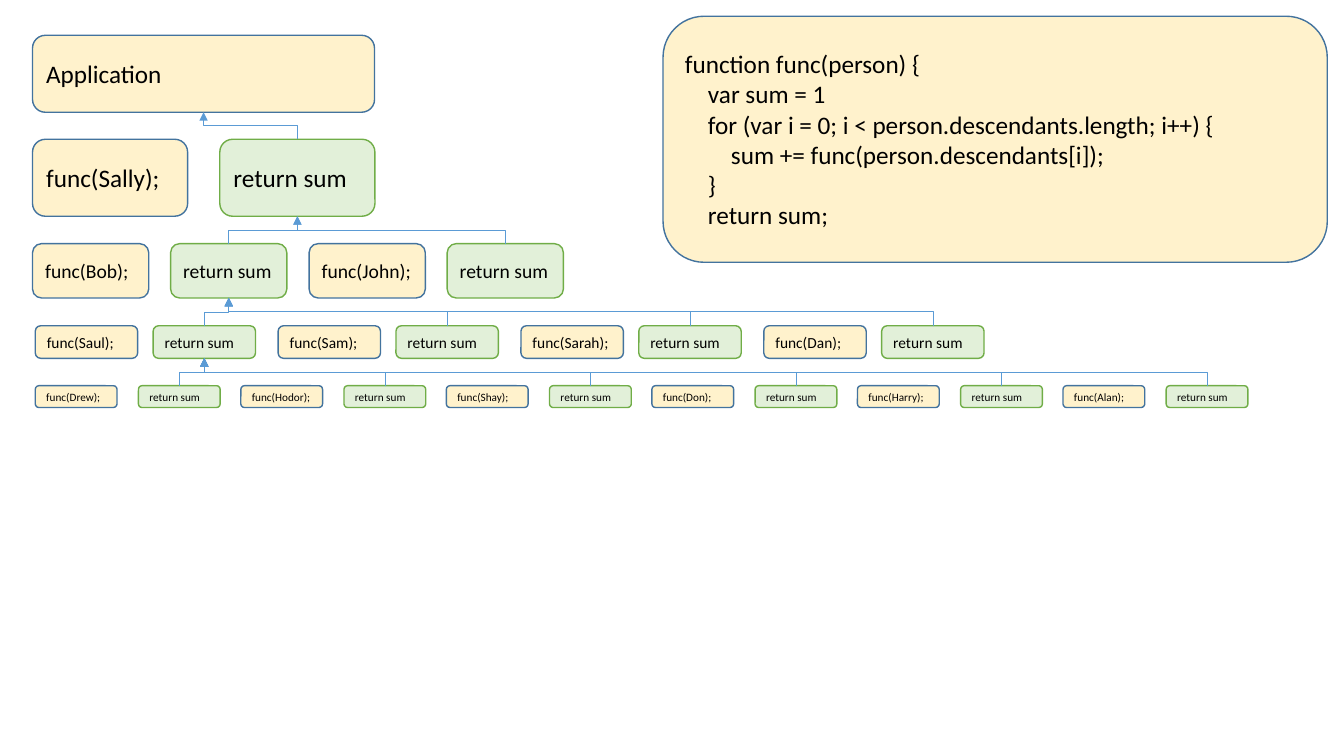
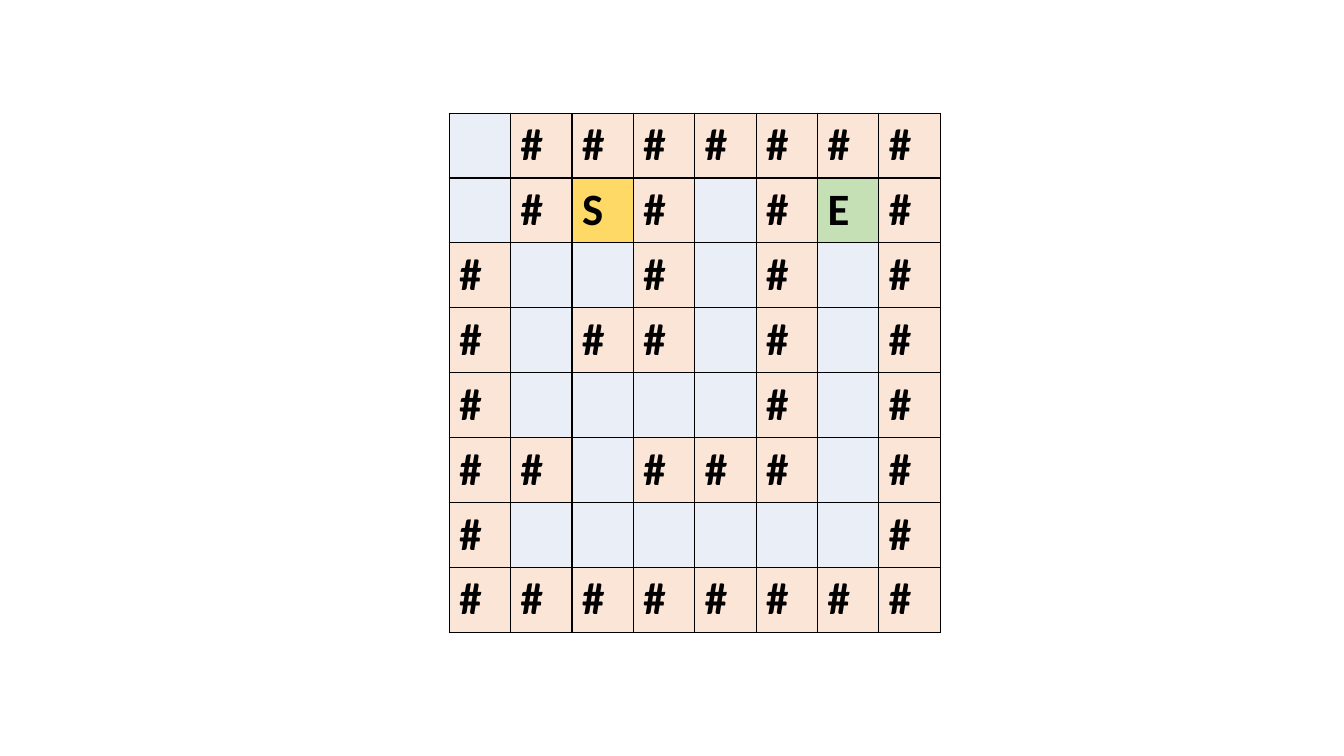
from dataclasses import dataclass

from lxml import etree
from pptx import Presentation
from pptx import util as u
from pptx.dml import color
from pptx.enum import shapes, text
from pptx.oxml import ns

COLORS = {
    "ink": "000000",
    "call": "FFF2CC",
    "call_line": "43739E",
    "result": "E2F0D9",
    "result_line": "70AD47",
    "arrow": "5B9BD5",
    "wall": "FBE5D6",
    "path": "EAEFF7",
    "start": "FFD966",
    "end": "C5E0B4",
}
FONT = "Calibri"
INDENT = 0.58


@dataclass
class Box:
    left: float
    top: float
    width: float
    height: float
    lines: list[str]
    size: int = 18
    kind: str = "call"


@dataclass
class CallRow:
    names: list[str]
    left: float
    top: float
    width: float
    height: float
    size: int
    result_offset: float
    pair_pitch: float = 0


CODE = Box(16.71, 0.41, 16.74, 6.2, [
    "function func(person) {",
    "\tvar sum = 1",
    "\tfor (var i = 0; i < person.descendants.length; i++) {",
    "\t\tsum += func(person.descendants[i]);",
    "\t}",
    "\treturn sum;",
])
APPLICATION = Box(0.82, 0.89, 8.62, 1.94, ["Application"])
CALL_ROWS = [
    CallRow(["Sally"], 0.82, 3.51, 3.91, 1.94, 18, 4.72),
    CallRow(["Bob", "John"], 0.82, 6.14, 2.93, 1.37, 14, 3.48, 6.97),
    CallRow(["Saul", "Sam", "Sarah", "Dan"], 0.89, 8.21, 2.58, 0.82, 11, 2.97, 6.12),
    CallRow(["Drew", "Hodor", "Shay", "Don", "Harry", "Alan"],
            0.89, 9.72, 2.06, 0.55, 8, 2.6, 5.18),
]
MAZE = [
    " #######",
    " #S# #E#",
    "#  # # #",
    "# ## # #",
    "#    # #",
    "## ### #",
    "#      #",
    "########",
]
CELL_KINDS = {"#": "wall", " ": "path", "S": "start", "E": "end"}


def rgb(name: str) -> color.RGBColor:
    return color.RGBColor.from_string(COLORS[name])


def set_font(r, size: int, bold: bool = False) -> None:
    for key, value in {"name": FONT, "size": u.Pt(size), "bold": bold}.items():
        setattr(r.font, key, value)
    r.font.color.rgb = rgb("ink")


def draw_box(s, box: Box):
    sp = s.shapes.add_shape(
        shapes.MSO_SHAPE.ROUNDED_RECTANGLE,
        *(u.Cm(v) for v in (box.left, box.top, box.width, box.height)))
    sp.shadow.inherit = False
    sp.fill.solid()
    sp.fill.fore_color.rgb = rgb(box.kind)
    sp.line.color.rgb = rgb(f"{box.kind}_line")
    sp.line.width = u.Pt(1)
    tf = sp.text_frame
    for key, value in {"word_wrap": True, "vertical_anchor": text.MSO_ANCHOR.MIDDLE}.items():
        setattr(tf, key, value)
    for i, line in enumerate(box.lines):
        p = tf.add_paragraph() if i else tf.paragraphs[0]
        p.alignment = text.PP_ALIGN.JUSTIFY
        depth = line.count("\t")
        if depth:
            p._p.get_or_add_pPr().set("marL", str(u.Cm(depth * INDENT)))
        r = p.add_run()
        r.text = line.strip()
        set_font(r, box.size)
    return sp


def draw_return_arrow(s, child, parent) -> None:
    start_x, start_y = child.left + child.width // 2, child.top
    end_x, end_y = parent.left + parent.width // 2, parent.top + parent.height
    mid_x, mid_y = (start_x + end_x) // 2, (start_y + end_y) // 2
    half_rise, half_run = (start_y - end_y) // 2, (end_x - start_x) // 2
    cn = s.shapes.add_connector(
        shapes.MSO_CONNECTOR.ELBOW,
        mid_x - half_rise, mid_y - half_run, mid_x + half_rise, mid_y + half_run)
    cn.line.color.rgb = rgb("arrow")
    cn.line.width = u.Pt(0.5)
    sp_pr = cn._element.spPr
    sp_pr.find(ns.qn("a:xfrm")).set("rot", str(270 * 60000))
    etree.SubElement(sp_pr.find(ns.qn("a:ln")), ns.qn("a:tailEnd"), type="triangle")
    etree.SubElement(sp_pr, ns.qn("a:effectLst"))


def draw_call_row(s, row: CallRow, parent):
    results = []
    for i, name in enumerate(row.names):
        left = row.left + i * row.pair_pitch
        size = (row.top, row.width, row.height)
        draw_box(s, Box(left, *size, [f"func({name});"], row.size))
        results.append(draw_box(s, Box(
            left + row.result_offset, *size, ["return sum"], row.size, "result")))
    for result in results:
        draw_return_arrow(s, result, parent)
    return results[0]


def set_borders(cell) -> None:
    tc_pr = cell._tc.get_or_add_tcPr()
    for i, side in enumerate(("lnL", "lnR", "lnT", "lnB")):
        ln = etree.Element(ns.qn(f"a:{side}"), w=str(u.Pt(1)))
        fill = etree.SubElement(ln, ns.qn("a:solidFill"))
        etree.SubElement(fill, ns.qn("a:srgbClr"), val=COLORS["ink"])
        tc_pr.insert(i, ln)


def draw_maze(s, maze: list[str]) -> None:
    frame = s.shapes.add_table(
        len(maze), len(maze[0]), u.Cm(11.32), u.Cm(2.85), u.Cm(12.38), u.Cm(12.88))
    table = frame.table
    for key in ("first_row", "horz_banding"):
        setattr(table, key, False)
    for y, line in enumerate(maze):
        for x, mark in enumerate(line):
            cell = table.cell(y, x)
            cell.fill.solid()
            cell.fill.fore_color.rgb = rgb(CELL_KINDS[mark])
            set_borders(cell)
            if mark != " ":
                r = cell.text_frame.paragraphs[0].add_run()
                r.text = mark
                set_font(r, 32, bold=True)


def main() -> None:
    prs = Presentation()
    prs.slide_width, prs.slide_height = u.Cm(33.87), u.Cm(19.05)
    blank = prs.slide_layouts[6]

    s = prs.slides.add_slide(blank)
    draw_box(s, CODE)
    parent = draw_box(s, APPLICATION)
    for row in CALL_ROWS:
        parent = draw_call_row(s, row, parent)

    draw_maze(prs.slides.add_slide(blank), MAZE)
    prs.save("out.pptx")


main()
